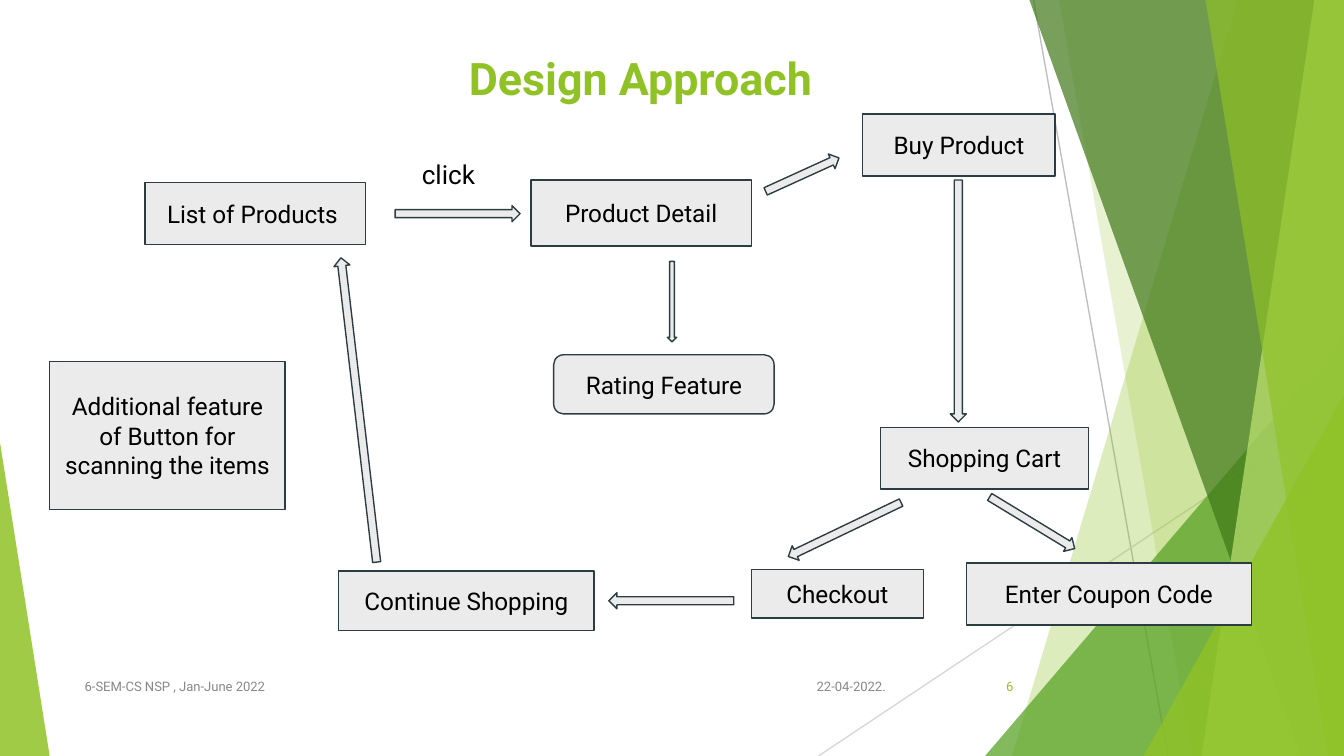
"""Build the Design Approach flow slide on a grid of tenth-inch cells."""
from dataclasses import dataclass

from lxml.etree import SubElement
from pptx import Presentation
from pptx.dml.color import RGBColor
from pptx.enum.shapes import MSO_CONNECTOR, MSO_SHAPE
from pptx.enum.text import MSO_ANCHOR, PP_ALIGN
from pptx.oxml.ns import qn
from pptx.util import Emu, Inches, Pt

COLS, ROWS = 100, 56.25
FONT = "Roboto"
GREEN, INK, PALE, GREY = "90C226", "2C3C43", "EBEBEB", "888888"
LEFT, CENTER, RIGHT = PP_ALIGN.LEFT, PP_ALIGN.CENTER, PP_ALIGN.RIGHT
TOP, MIDDLE = MSO_ANCHOR.TOP, MSO_ANCHOR.MIDDLE


@dataclass(frozen=True)
class Box:
    text: str
    col: float
    row: float
    cols: float
    rows: float
    kind: MSO_SHAPE = MSO_SHAPE.RECTANGLE


@dataclass(frozen=True)
class Arrow:
    col: float
    row: float
    length: float
    angle: float = 0
    thick: float = 1.2


@dataclass(frozen=True)
class Band:
    top_left: float
    top_right: float
    bottom_left: float
    bottom_right: float
    color: str
    alpha: int


@dataclass(frozen=True)
class Corner:
    col: float
    row: float
    cols: float
    apex: float
    color: str
    alpha: int


@dataclass(frozen=True)
class Label:
    text: str
    col: float
    row: float
    cols: float
    rows: float
    size: float
    color: str
    align: PP_ALIGN = LEFT
    anchor: MSO_ANCHOR = MIDDLE
    inset: tuple[float, float] = (0.7, 0.4)


RULES = [((76.9, 0), (86.9, ROWS), "BFBFBF"), ((COLS, 30.2), (60.9, ROWS), "D8D8D8")]
BACK_BANDS = [
    Band(92.1, COLS, 75.3, COLS, GREEN, 30),
    Band(78.8, COLS, 88.7, COLS, GREEN, 20),
]
FRONT_BANDS = [
    Band(76.6, COLS, 96.8, COLS, "3F7818", 70),
    Band(97.8, COLS, 89.4, COLS, "BFE471", 70),
    Band(89.7, COLS, 98.8, COLS, GREEN, 65),
]
BACK_CORNERS = [Corner(73.3, 25, 26.7, 1, "54A021", 72)]
FRONT_CORNERS = [
    Corner(85.1, 29.4, 14.9, 1, GREEN, 80),
    Corner(0, 32.9, 3.7, 0, GREEN, 85),
]
DECOR = BACK_BANDS + BACK_CORNERS + FRONT_BANDS + FRONT_CORNERS
BOXES = [
    Box("List of Products\u00a0", 10.8, 13.6, 16.4, 4.6),
    Box("Product Detail", 39.5, 13.4, 16.4, 4.9),
    Box("Buy Product", 64.2, 8.5, 14.3, 4.6),
    Box("Rating Feature", 41.2, 26.4, 16.4, 4.4, MSO_SHAPE.ROUNDED_RECTANGLE),
    Box("Shopping Cart", 65.5, 31.8, 15.5, 4.6),
    Box("Checkout", 55.9, 42.4, 12.8, 3.6),
    Box("Enter Coupon Code", 71.9, 41.9, 21.2, 4.6),
    Box("Continue Shopping", 25.2, 42.5, 19, 4.4),
    Box("Additional feature of Button for scanning the items", 3.7, 26.9, 17.5, 11),
]
ARROWS = [
    Arrow(29.4, 15.3, 9.3),
    Arrow(56.7, 12.4, 6, 335.5),
    Arrow(47, 22.1, 6, 90, 0.7),
    Arrow(62.3, 21.8, 18, 90),
    Arrow(73.1, 38.3, 7.4, 31.3),
    Arrow(58.2, 38.8, 9.3, 154.4),
    Arrow(45.3, 44.1, 9.3, 180),
    Arrow(15.3, 29.9, 22.8, 263.3),
]
LABELS = [
    Label("6", 70.5, 49.6, 5.6, 3, 7, GREEN, RIGHT),
    Label("6-SEM-CS NSP , Jan-June 2022", 5.6, 49.6, 17.5, 3, 7, GREY),
    Label("22-04-2022.", 59.1, 49.6, 7.5, 3, 7, GREY, RIGHT),
    Label("click", 30.4, 10.8, 7.5, 4.4, 14, "000000", LEFT, TOP, (1, 1)),
]


def cells(n: float) -> Emu:
    """Turn a count of grid cells into a length."""
    return Inches(n / 10)


def area(col: float, row: float, cols: float, rows: float) -> tuple[Emu, ...]:
    """Turn a grid area into left, top, width and height."""
    return cells(col), cells(row), cells(cols), cells(rows)


def rgb(color: str) -> RGBColor:
    """Turn a hex string into a colour."""
    return RGBColor.from_string(color)


def paint(sp, color: str, line: str | None = None, alpha: int = 100) -> None:
    """Set the fill, outline and opacity of a shape."""
    sp.shadow.inherit = False
    sp.fill.solid()
    sp.fill.fore_color.rgb = rgb(color)
    if alpha < 100:
        clr = sp._element.spPr.find(qn("a:solidFill"))[0]
        SubElement(clr, qn("a:alpha"), val=str(alpha * 1000))
    if line:
        sp.line.color.rgb = rgb(line)
        sp.line.width = Pt(0.75)
    else:
        sp.line.fill.background()


def write(sp, text: str, *, size: float, color: str = "000000", bold: bool = False,
          align: PP_ALIGN = CENTER, anchor: MSO_ANCHOR = MIDDLE,
          inset: tuple[float, float] = (1, 1)) -> None:
    """Put formatted text into a shape."""
    tf = sp.text_frame
    tf.word_wrap = True
    tf.vertical_anchor = anchor
    tf.margin_left = tf.margin_right = cells(inset[0])
    tf.margin_top = tf.margin_bottom = cells(inset[1])
    p = tf.paragraphs[0]
    p.alignment = align
    r = p.add_run()
    r.text = text
    r.font.name, r.font.size, r.font.bold = FONT, Pt(size), bold
    r.font.color.rgb = rgb(color)


def draw_rule(s, start: tuple[float, float], end: tuple[float, float], color: str) -> None:
    """Draw a thin background line."""
    cx = s.shapes.add_connector(MSO_CONNECTOR.STRAIGHT, *map(cells, start + end))
    cx.line.color.rgb = rgb(color)
    cx.line.width = Pt(0.75)
    SubElement(cx._element.spPr, qn("a:effectLst"))


def draw_decor(s, item: Band | Corner) -> None:
    """Draw a translucent band or corner triangle."""
    if isinstance(item, Band):
        fb = s.shapes.build_freeform(cells(item.top_left), 0)
        fb.add_line_segments([(cells(item.top_right), 0),
                              (cells(item.bottom_right), cells(ROWS)),
                              (cells(item.bottom_left), cells(ROWS))])
        sp = fb.convert_to_shape()
    else:
        sp = s.shapes.add_shape(MSO_SHAPE.ISOSCELES_TRIANGLE,
                                *area(item.col, item.row, item.cols, ROWS - item.row))
        sp.adjustments[0] = item.apex
    paint(sp, item.color, alpha=item.alpha)


def draw_box(s, box: Box) -> None:
    """Draw one step of the flow."""
    sp = s.shapes.add_shape(box.kind, *area(box.col, box.row, box.cols, box.rows))
    paint(sp, PALE, INK)
    write(sp, box.text, size=13)


def draw_arrow(s, arrow: Arrow) -> None:
    """Draw one block arrow turned about its centre."""
    sp = s.shapes.add_shape(MSO_SHAPE.RIGHT_ARROW,
                            *area(arrow.col, arrow.row, arrow.length, arrow.thick))
    sp.rotation = arrow.angle
    paint(sp, PALE, INK)


def draw_label(s, label: Label) -> None:
    """Draw one free text."""
    sp = s.shapes.add_textbox(*area(label.col, label.row, label.cols, label.rows))
    write(sp, label.text, size=label.size, color=label.color, align=label.align,
          anchor=label.anchor, inset=label.inset)


def main() -> None:
    """Build and save the slide."""
    prs = Presentation()
    prs.slide_width, prs.slide_height = cells(COLS), cells(ROWS)
    s = prs.slides.add_slide(prs.slide_layouts[5])
    title = s.shapes.title
    title.left, title.top, title.width, title.height = area(12.4, 3.1, 70.5, 5.4)
    write(title, "Design Approach", size=24, color=GREEN, bold=True, inset=(0.7, 0.4))
    for rule in RULES:
        draw_rule(s, *rule)
    for draw, items in ((draw_decor, DECOR), (draw_box, BOXES),
                        (draw_arrow, ARROWS), (draw_label, LABELS)):
        for item in items:
            draw(s, item)
    prs.save("out.pptx")


main()
